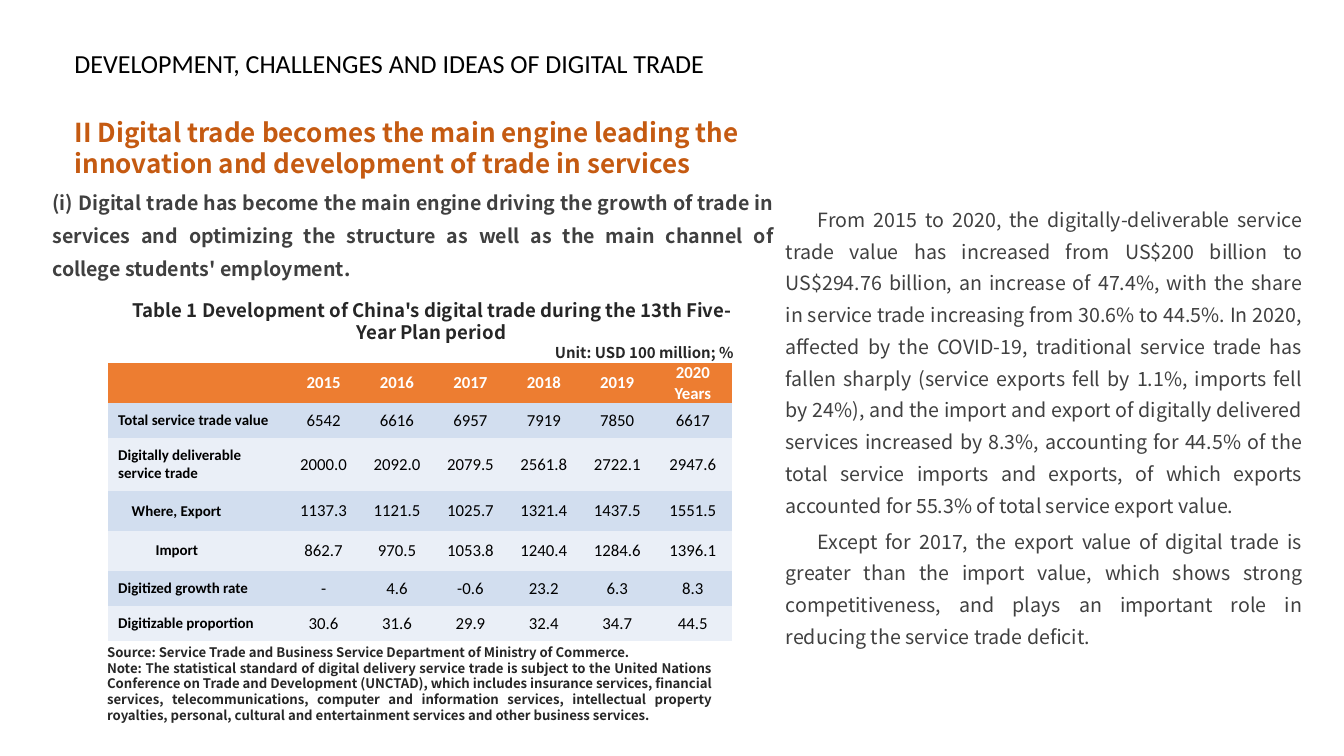
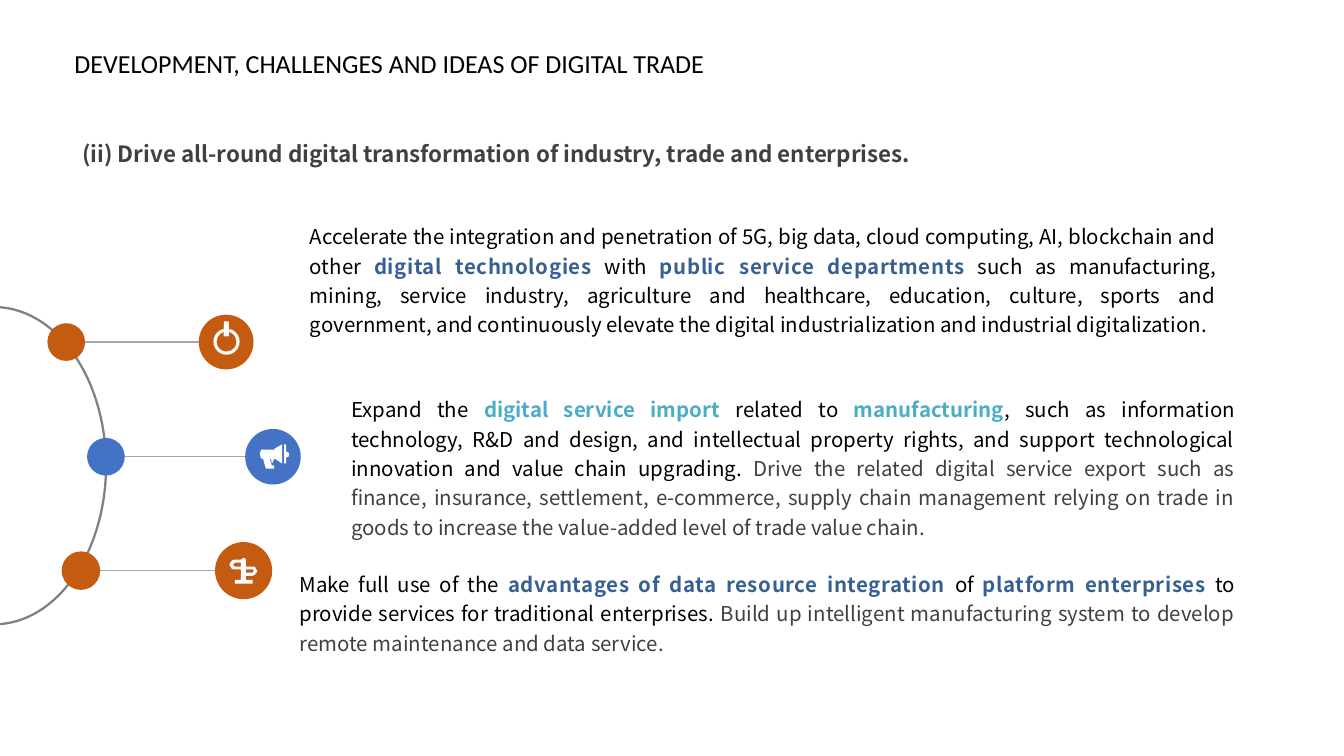
from pptx import Presentation
from pptx.dml.color import RGBColor
from pptx.enum.shapes import MSO_CONNECTOR, MSO_SHAPE as Shape
from pptx.enum.text import MSO_ANCHOR as Anchor, MSO_AUTO_SIZE as AutoSize, PP_ALIGN as Align
from pptx.oxml.ns import qn
from pptx.util import Cm, Pt
from lxml import etree

ORANGE, BLUE, NAVY, TEAL = "C55A11", "4472C4", "376092", "4BACC6"
BLACK, INK, GREY, WHITE = "000000", "262626", "404040", "FFFFFF"
ARC_GREY, SPOKE_GREY = "808080", "9DA8B1"
HEADER_FILL, BAND_FILLS = "ED7D31", ("D2DEEF", "EAEFF7")
BODY_FONT, TITLE_FONT = "Noto Sans CJK SC", "Calibri"
NO_GRID_STYLE = "{2D5ABB26-0587-4C30-8999-92F81FD0307C}"

TITLE = "DEVELOPMENT, CHALLENGES AND IDEAS OF DIGITAL TRADE"

TRADE_ROWS = [
    ("", "2015", "2016", "2017", "2018", "2019", "2020 Years"),
    ("Total service trade value", "6542", "6616", "6957", "7919", "7850", "6617"),
    ("Digitally deliverable service trade",
     "2000.0", "2092.0", "2079.5", "2561.8", "2722.1", "2947.6"),
    ("Where, Export", "1137.3", "1121.5", "1025.7", "1321.4", "1437.5", "1551.5"),
    ("Import", "862.7", "970.5", "1053.8", "1240.4", "1284.6", "1396.1"),
    ("Digitized growth rate", "-", "4.6", "-0.6", "23.2", "6.3", "8.3"),
    ("Digitizable proportion", "30.6", "31.6", "29.9", "32.4", "34.7", "44.5"),
]
ROW_HEIGHTS = (1.02, 0.88, 1.34, 1, 1, 0.89, 0.89)
COLUMN_WIDTHS = (4.5, 1.85, 1.85, 1.85, 1.85, 1.85, 1.96)
LABEL_INDENTS = {"Where, Export": 0.34, "Import": 0.94}

TRADE_COMMENTS = [
    "From 2015 to 2020, the digitally-deliverable service trade value has increased from "
    "US$200 billion to US$294.76 billion, an increase of 47.4%, with the share in service "
    "trade increasing from 30.6% to 44.5%. In 2020, affected by the COVID-19, traditional "
    "service trade has fallen sharply (service exports fell by 1.1%, imports fell by 24%), "
    "and the import and export of digitally delivered services increased by 8.3%, accounting "
    "for 44.5% of the total service imports and exports, of which exports accounted for 55.3% "
    "of total service export value.",
    "Except for 2017, the export value of digital trade is greater than the import value, "
    "which shows strong competitiveness, and plays an important role in reducing the service "
    "trade deficit.",
]
SOURCE_NOTES = [
    "Source: Service Trade and Business Service Department of Ministry of Commerce.",
    "Note: The statistical standard of digital delivery service trade is subject to the United "
    "Nations Conference on Trade and Development (UNCTAD), which includes insurance services, "
    "financial services, telecommunications, computer and information services, intellectual "
    "property royalties, personal, cultural and entertainment services and other business "
    "services.",
]

# Each measure: place in cm, then its spans as (text, colour).
MEASURES = [
    ((7.48, 5.36, 23.5, 4.09), [
        ("Accelerate the integration and penetration of 5G, big data, cloud computing, AI, "
         "blockchain and other ", BLACK),
        ("digital technologies", NAVY),
        (" with ", BLACK),
        ("public service departments", NAVY),
        (" such as manufacturing, mining, service industry, agriculture and healthcare, "
         "education, culture, sports and government, and continuously elevate the digital "
         "industrialization and industrial digitalization.", BLACK)]),
    ((8.52, 9.72, 22.94, 4.09), [
        ("Expand the ", BLACK),
        ("digital service import", TEAL),
        (" related to ", BLACK),
        ("manufacturing", TEAL),
        (", such as information technology, R&D and design, and intellectual property rights, "
         "and support technological innovation and value chain upgrading. ", BLACK),
        ("Drive the related digital service export such as finance, insurance, settlement, "
         "e-commerce, supply chain management relying on trade in goods to increase the "
         "value-added level of trade value chain.", GREY)]),
    ((7.22, 14.12, 24.23, 2.59), [
        ("Make full use of the ", BLACK),
        ("advantages of data resource integration", NAVY),
        (" of ", BLACK),
        ("platform enterprises", NAVY),
        (" to provide services for traditional enterprises. ", BLACK),
        ("Build up intelligent manufacturing system to develop remote maintenance and data "
         "service.", GREY)]),
]

# Each spoke: centre height, node x, node diameter, badge x, badge diameter (cm), colour.
SPOKES = [
    (8.62, 1.67, 0.95, 5.7, 1.38, ORANGE),
    (11.51, 2.67, 0.95, 6.88, 1.4, BLUE),
    (14.38, 2.04, 0.97, 6.14, 1.44, ORANGE),
]

# Icon outlines in tenths of a millimetre from the icon's corner.
MEGAPHONE = [
    [(3, 13), (36, 13), (38, 10), (56, 0), (56, 48), (38, 36), (25, 36), (30, 53),
     (36, 53), (36, 61), (15, 61), (8, 36), (3, 36), (0, 24)],
    [(66, 18), (72, 20), (74, 25), (72, 31), (66, 33), (66, 48), (61, 48), (61, 0), (66, 0)],
    [(36, 36), (28, 36), (30, 46), (33, 46), (33, 43)],
]
SIGNPOST = [
    [(41, 23), (58, 23), (63, 23), (69, 33), (69, 36), (63, 43), (58, 46), (41, 46),
     (41, 56), (58, 56), (58, 66), (13, 66), (13, 56), (28, 56), (28, 30), (10, 30),
     (5, 28), (0, 20), (0, 15), (5, 8), (10, 5), (28, 5), (36, 0), (41, 5)],
    [(28, 13), (13, 13), (8, 18), (13, 23), (28, 23)],
    [(58, 30), (41, 30), (41, 38), (58, 38), (61, 33)],
]


def rgb(colour):
    return RGBColor.from_string(colour)


def cm(values):
    return [Cm(value) for value in values]


def set_font(font, size, colour, bold=False, name=BODY_FONT):
    font.name, font.size, font.bold = name, Pt(size), bold
    font.color.rgb = rgb(colour)


class Deck:
    """Holds the presentation, its shared style and the current slide."""

    def __init__(self):
        self.presentation = Presentation()
        self.presentation.slide_width, self.presentation.slide_height = cm((33.87, 19.05))
        self.slide = None

    def add_slide(self):
        layout = self.presentation.slide_layouts[5]
        self.slide = self.presentation.slides.add_slide(layout)
        title = self.slide.shapes.title
        title.left, title.top, title.width, title.height = cm((1.62, 1.06, 28.47, 1.04))
        title.fill.solid()
        title.fill.fore_color.rgb = rgb(WHITE)
        title.line.color.rgb, title.line.width = rgb(WHITE), Pt(0.75)
        frame = title.text_frame
        frame.text = TITLE
        frame.auto_size, frame.vertical_anchor = AutoSize.NONE, Anchor.MIDDLE
        paragraph = frame.paragraphs[0]
        paragraph.alignment = Align.LEFT
        set_font(paragraph.font, 18.6, BLACK, name=TITLE_FONT)

    def text(self, place, paragraphs, size, colour, bold=False, align=Align.JUSTIFY,
             spacing=1, insets=(0, 0)):
        """Add a text box and return its paragraphs; insets are (sides, top and bottom) in cm."""
        frame = self.slide.shapes.add_textbox(*cm(place)).text_frame
        frame.word_wrap = True
        frame.margin_left = frame.margin_right = Cm(insets[0])
        frame.margin_top = frame.margin_bottom = Cm(insets[1])
        for index, text in enumerate(paragraphs):
            paragraph = frame.add_paragraph() if index else frame.paragraphs[0]
            paragraph.add_run().text = text
            paragraph.alignment, paragraph.line_spacing = align, spacing
            set_font(paragraph.font, size, colour, bold)
        return frame.paragraphs

    def measure(self, place, spans):
        """Add a justified paragraph whose accent-coloured spans are bold."""
        first_text, first_colour = spans[0]
        paragraph = self.text(place, [first_text], 14.6, first_colour,
                              spacing=1.2, insets=(0.33, 0.17))[0]
        for text, colour in spans[1:]:
            run = paragraph.add_run()
            run.text = text
            run.font.color.rgb = rgb(colour)
            run.font.bold = colour in (NAVY, TEAL)
            if colour == NAVY:
                run._r.get_or_add_rPr().set("spc", "40")

    def table(self, left, top, rows):
        size = cm((sum(COLUMN_WIDTHS), sum(ROW_HEIGHTS)))
        table = self.slide.shapes.add_table(
            len(rows), len(COLUMN_WIDTHS), Cm(left), Cm(top), *size).table
        table._tbl.tblPr.find(qn("a:tableStyleId")).text = NO_GRID_STYLE
        for column, width in zip(table.columns, COLUMN_WIDTHS):
            column.width = Cm(width)
        for row_index, values in enumerate(rows):
            table.rows[row_index].height = Cm(ROW_HEIGHTS[row_index])
            for column_index, value in enumerate(values):
                self.cell(table.cell(row_index, column_index), value,
                          row_index, is_label=column_index == 0)

    def cell(self, cell, value, row_index, is_label):
        is_header = row_index == 0
        cell.fill.solid()
        cell.fill.fore_color.rgb = rgb(
            HEADER_FILL if is_header else BAND_FILLS[(row_index - 1) % 2])
        cell.vertical_anchor = Anchor.MIDDLE
        cell.margin_top = cell.margin_bottom = 0
        cell.margin_left = Cm(0.25 + LABEL_INDENTS.get(value, 0))
        cell.margin_right = Cm(0.25)
        cell.text = value
        paragraph = cell.text_frame.paragraphs[0]
        paragraph.alignment = Align.LEFT if is_label else Align.CENTER
        set_font(paragraph.font, 10.7 if is_label else 12, WHITE if is_header else BLACK,
                 bold=is_header or is_label, name=TITLE_FONT)

    def paint(self, shape, colour):
        shape.shadow.inherit = False
        shape.fill.solid()
        shape.fill.fore_color.rgb = rgb(colour)
        shape.line.fill.background()

    def shape(self, kind, place, colour, adjustments=(), rotation=0):
        shape = self.slide.shapes.add_shape(kind, *cm(place))
        self.paint(shape, colour)
        shape.rotation = rotation
        for index, value in enumerate(adjustments):
            shape.adjustments[index] = value

    def circle(self, x, y, diameter, colour):
        """Add a circle by its centre."""
        radius = diameter / 2
        self.shape(Shape.OVAL, (x - radius, y - radius, diameter, diameter), colour)

    def line(self, start, end, colour):
        connector = self.slide.shapes.add_connector(
            MSO_CONNECTOR.STRAIGHT, *cm(start), *cm(end))
        connector.line.color.rgb, connector.line.width = rgb(colour), Pt(1)
        etree.SubElement(connector._element.spPr, qn("a:effectLst"))

    def icon(self, left, top, outlines):
        """Add one white shape made of several closed outlines."""
        builder = self.slide.shapes.build_freeform(*outlines[0][0], scale=Cm(0.01))
        builder.add_line_segments(outlines[0][1:], close=True)
        for outline in outlines[1:]:
            builder.move_to(*outline[0])
            builder.add_line_segments(outline[1:], close=True)
        self.paint(builder.convert_to_shape(Cm(left), Cm(top)), WHITE)


def add_trade_table_slide(deck):
    deck.add_slide()
    deck.text((1.88, 2.93, 19, 1.6),
              ["II Digital trade becomes the main engine leading the innovation and "
               "development of trade in services"], 18.6, ORANGE, bold=True, align=Align.LEFT)
    deck.text((1.32, 4.57, 18.19, 2.51),
              ["(i) Digital trade has become the main engine driving the growth of trade in "
               "services and optimizing the structure as well as the main channel of college "
               "students' employment."], 14, GREY, bold=True, spacing=1.4)
    deck.table(2.73, 9.14, TRADE_ROWS)
    for paragraph in deck.text((19.8, 5.03, 13.03, 12.22), TRADE_COMMENTS, 14, GREY,
                               spacing=1.35):
        paragraph.space_after = Pt(3)
        paragraph._p.get_or_add_pPr().set("indent", str(Cm(0.81)))
    caption, unit = deck.text(
        (3.02, 7.4, 15.72, 1.85),
        ["Table 1 Development of China's digital trade during the 13th Five-Year Plan period",
         "Unit: USD 100 million; %"],
        13.3, INK, bold=True, align=Align.CENTER, insets=(0.25, 0.13))
    unit.alignment, unit.font.size = Align.RIGHT, Pt(10.7)
    deck.text((2.45, 16.1, 15.72, 2.67), SOURCE_NOTES, 9.4, INK, bold=True,
              insets=(0.25, 0.13))


def add_transformation_slide(deck):
    deck.add_slide()
    deck.text((2.08, 3.3, 24.77, 0.91),
              ["(ii) Drive all-round digital transformation of industry, trade and "
               "enterprises."], 16, GREY, bold=True, align=Align.LEFT, spacing=1.35)
    for place, spans in MEASURES:
        deck.measure(place, spans)
    deck.shape(Shape.BLOCK_ARC, (-4.17, 8.89, 8.05, 5.69), ARC_GREY,
               adjustments=(108.97, 0.07, 0.01), rotation=90)
    for y, node_x, node_size, badge_x, badge_size, colour in SPOKES:
        deck.line((node_x, y), (badge_x, y), SPOKE_GREY)
        deck.circle(node_x, y, node_size, colour)
        deck.circle(badge_x, y, badge_size, colour)
    deck.shape(Shape.BLOCK_ARC, (5.38, 8.28, 0.66, 0.66), WHITE,
               adjustments=(170.4, 153.6, 0.12))
    deck.shape(Shape.ROUNDED_RECTANGLE, (5.64, 8.1, 0.13, 0.38), WHITE)
    deck.icon(6.55, 11.2, MEGAPHONE)
    deck.icon(5.79, 14.05, SIGNPOST)


def main():
    deck = Deck()
    add_trade_table_slide(deck)
    add_transformation_slide(deck)
    deck.presentation.save("out.pptx")


if __name__ == "__main__":
    main()
